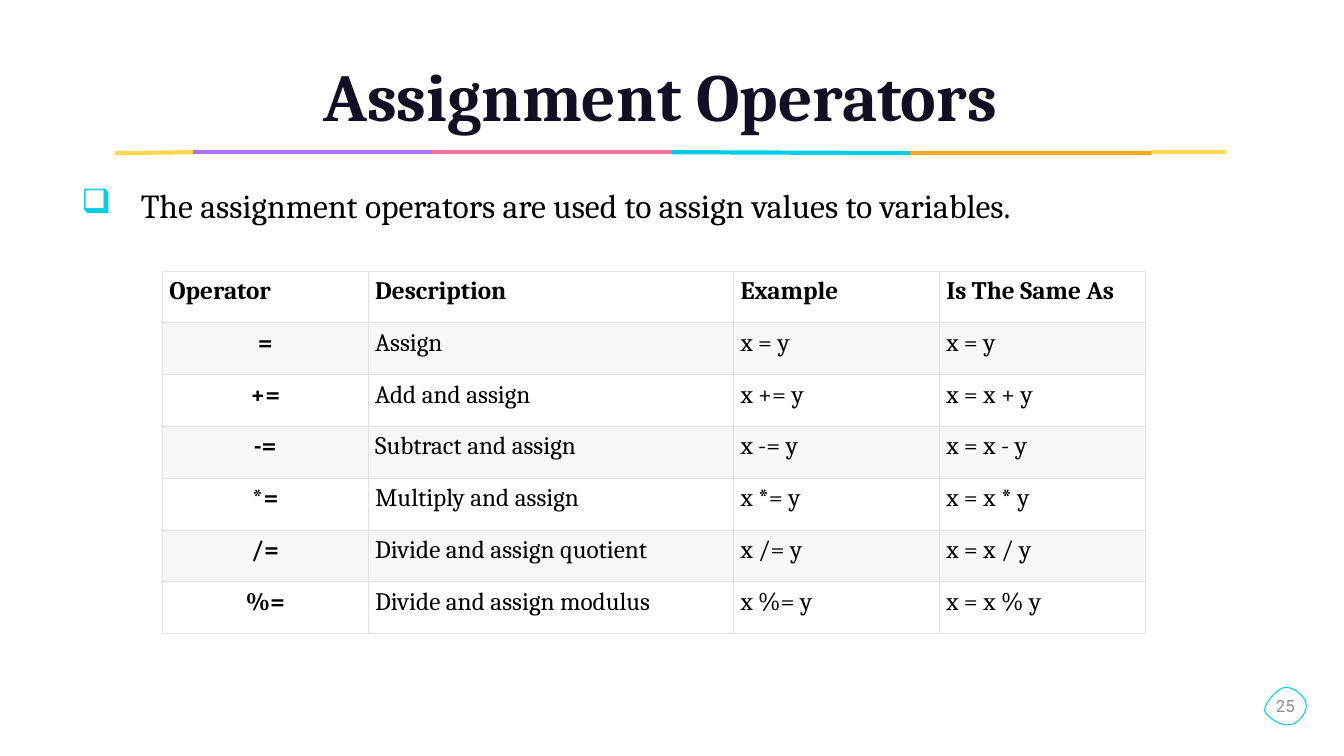
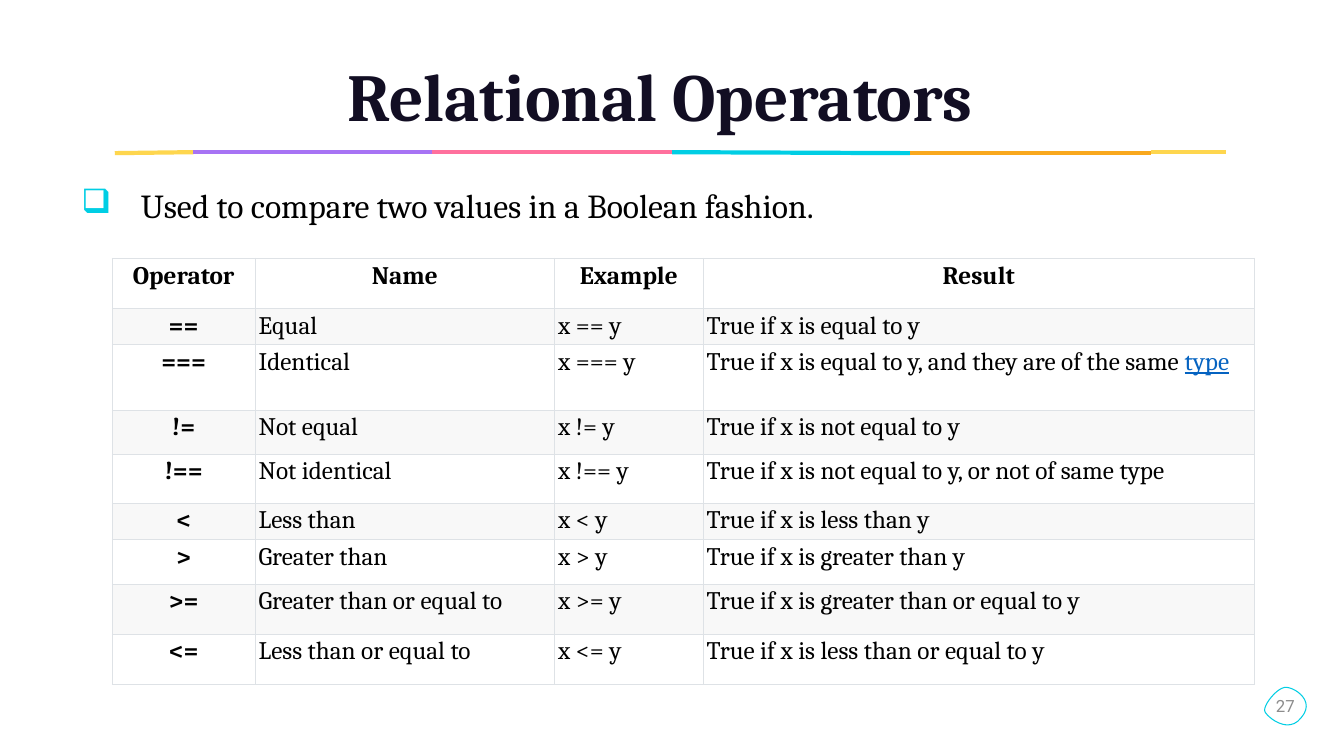
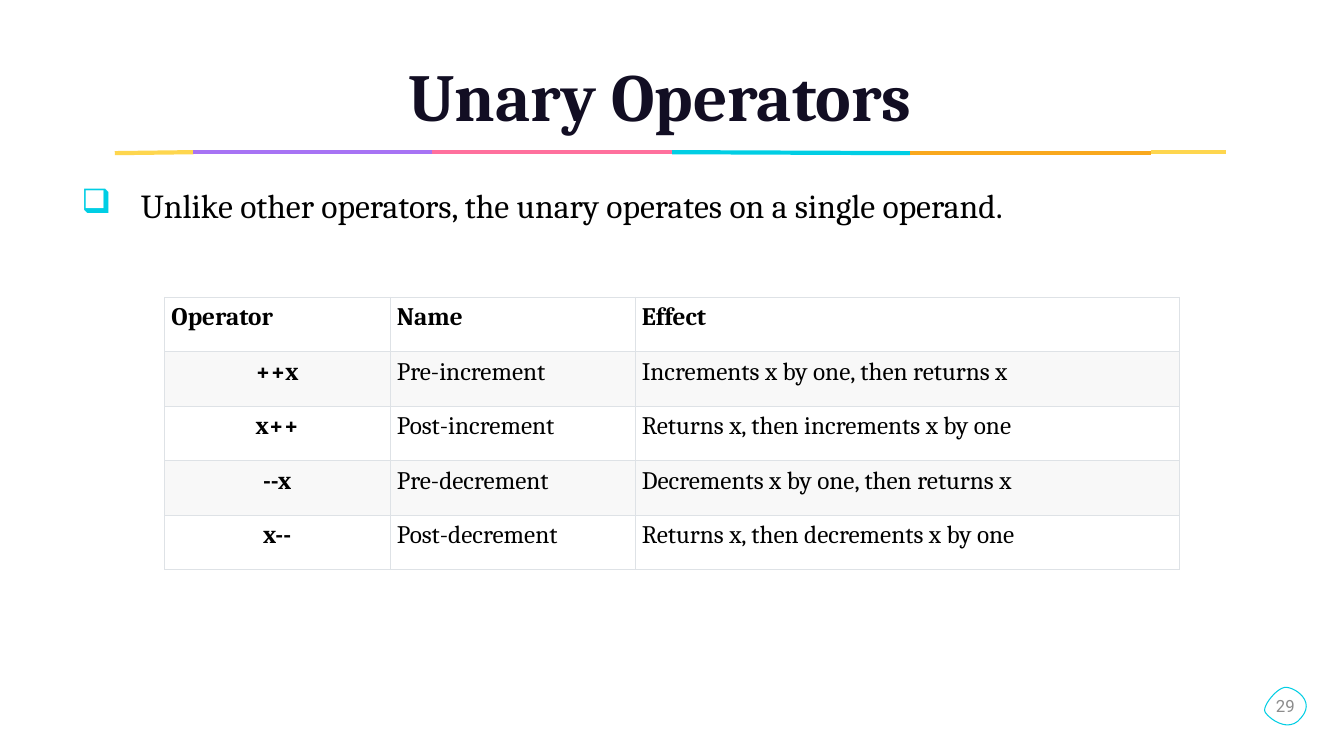
from itertools import pairwise

from lxml.etree import SubElement
from pptx import Presentation
from pptx.dml.color import RGBColor
from pptx.enum.shapes import MSO_CONNECTOR
from pptx.enum.text import MSO_ANCHOR, PP_ALIGN
from pptx.oxml.ns import qn
from pptx.util import Pt

COLORS = {
    "title": "120E23",
    "text": "000000",
    "link": "0563C1",
    "number": "8C8C8C",
    "border": "DEE2E6",
    "plain": "FFFFFF",
    "band": "F8F8F8",
    "yellow": "FED64E",
    "purple": "A773F4",
    "pink": "FF709D",
    "cyan": "00CEE4",
    "orange": "F9A81D",
}
SERIF, SANS = "Cambria", "Roboto"
TITLE_BOX = (51, 36, 852.5, 64)
RULE_BOX = (82, 108.7, 793.6, 0.7)
BODY_BOX = (51, 114.5, 888.5, 338.4)
BADGE_BOX = (903.6, 490.3, 29.5, 27.4)
RULE_STOPS = (0, 56.1, 226.8, 398.1, 568.1, 740.1, 793.6)
RULE_STYLE = (
    ("yellow", 1, 0),
    ("purple", 0, 0),
    ("pink", 0, 0),
    ("cyan", 0, 1),
    ("orange", 1, 1),
    ("yellow", 0, 0),
)
BADGE_START = (15.8, 0.7)
BADGE_CURVES = (
    ((22.3, 1.4), (36, 10.8), (25.9, 22.3)),
    ((16.6, 34.6), (1.4, 21.6), (0, 18)),
    ((-2.2, 14.4), (9.4, -0.7), BADGE_START),
)

SLIDES = (
    {
        "title": "Assignment Operators",
        "body": "The assignment operators are used to assign values to variables.",
        "number": "25",
        "origin": (116, 193.5),
        "columns": (147, 261, 147, 147),
        "heights": (37,) * 7,
        "margins": (5, 4.3),
        "header_align": PP_ALIGN.LEFT,
        "rows": (
            ("Operator", "Description", "Example", "Is The Same As"),
            ("=", "Assign", "x = y", "x = y"),
            ("+=", "Add and assign", "x += y", "x = x + y"),
            ("-=", "Subtract and assign", "x -= y", "x = x - y"),
            ("*=", "Multiply and assign", "x *= y", "x = x * y"),
            ("/=", "Divide and assign quotient", "x /= y", "x = x / y"),
            ("%=", "Divide and assign modulus", "x %= y", "x = x % y"),
        ),
    },
    {
        "title": "Relational Operators",
        "body": "Used to compare two values in a Boolean fashion.",
        "number": "27",
        "origin": (80.2, 184.5),
        "columns": (102, 214, 106, 394),
        "heights": (35.8, 25.5, 46.5, 31.5, 35, 25.2, 32, 35.7, 36.2),
        "margins": (2.6, 2.2),
        "header_align": PP_ALIGN.CENTER,
        "rows": (
            ("Operator", "Name", "Example", "Result"),
            ("==", "Equal", "x == y", "True if x is equal to y"),
            ("===", "Identical", "x === y",
             ("True if x is equal to y, and they are of the same ", "type")),
            ("!=", "Not equal", "x != y", "True if x is not equal to y"),
            ("!==", "Not identical", "x !== y",
             "True if x is not equal to y, or not of same type"),
            ("<", "Less than", "x < y", "True if x is less than y"),
            (">", "Greater than", "x > y", "True if x is greater than y"),
            (">=", "Greater than or equal to", "x >= y",
             "True if x is greater than or equal to y"),
            ("<=", "Less than or equal to", "x <= y",
             "True if x is less than or equal to y"),
        ),
    },
    {
        "title": "Unary Operators",
        "body": "Unlike other operators, the unary operates on a single operand.",
        "number": "29",
        "origin": (117.5, 212.3),
        "columns": (161, 175, 389),
        "heights": (38.9,) * 5,
        "margins": (5, 4.3),
        "header_align": PP_ALIGN.LEFT,
        "rows": (
            ("Operator", "Name", "Effect"),
            ("++x", "Pre-increment", "Increments x by one, then returns x"),
            ("x++", "Post-increment", "Returns x, then increments x by one"),
            ("--x", "Pre-decrement", "Decrements x by one, then returns x"),
            ("x--", "Post-decrement", "Returns x, then decrements x by one"),
        ),
    },
)


def rgb(name):
    """Return the named colour."""
    return RGBColor.from_string(COLORS[name])


def write(paragraph, text, size=18, font=SERIF, color="text", bold=False,
          underline=False, align=PP_ALIGN.LEFT, spacing=None):
    """Add formatted text to a paragraph."""
    paragraph.alignment = align
    if spacing:
        paragraph.line_spacing = spacing
    run = paragraph.add_run()
    run.text = text
    run.font.size = Pt(size)
    run.font.name = font
    run.font.color.rgb = rgb(color)
    run.font.bold = bold
    run.font.underline = underline


def add_text_frame(slide, box, anchor):
    """Add a wrapping text box and return its frame."""
    frame = slide.shapes.add_textbox(*map(Pt, box)).text_frame
    frame.word_wrap = True
    frame.vertical_anchor = anchor
    return frame


def add_rule(slide, box):
    """Draw the coloured rule below the title."""
    left, top, _, drop = box
    for (start, end), (color, start_low, end_low) in zip(pairwise(RULE_STOPS), RULE_STYLE):
        connector = slide.shapes.add_connector(
            MSO_CONNECTOR.STRAIGHT,
            Pt(left + start), Pt(top + drop * start_low),
            Pt(left + end), Pt(top + drop * end_low))
        connector.line.color.rgb = rgb(color)
        connector.line.width = Pt(3)
        SubElement(connector._element.spPr, qn("a:effectLst"))


def add_title(slide, box, text):
    """Write the slide title, set slightly left of centre."""
    frame = add_text_frame(slide, box, MSO_ANCHOR.BOTTOM)
    frame.margin_right = Pt(18.5)
    write(frame.paragraphs[0], text, size=48, color="title", bold=True,
          align=PP_ALIGN.CENTER, spacing=1.7)


def add_body(slide, box, text):
    """Write the bulleted statement."""
    paragraph = add_text_frame(slide, box, MSO_ANCHOR.TOP).paragraphs[0]
    properties = paragraph._p.get_or_add_pPr()
    properties.set("marL", str(Pt(42.5)))
    properties.set("indent", str(-Pt(42.5)))
    bullet_color = SubElement(properties, qn("a:buClr"))
    SubElement(bullet_color, qn("a:srgbClr"), val=COLORS["cyan"])
    SubElement(properties, qn("a:buChar"), char="❑")
    write(paragraph, text, size=24, spacing=1.5)


def curve_points(start, curves, steps=12):
    """Return points along a chain of cubic curves."""
    points = []
    for first, second, end in curves:
        for step in range(1, steps + 1):
            t = step / steps
            weights = ((1 - t) ** 3, 3 * t * (1 - t) ** 2, 3 * t * t * (1 - t), t ** 3)
            points.append(tuple(
                sum(weight * value for weight, value in zip(weights, values))
                for values in zip(start, first, second, end)))
        start = end
    return points


def add_badge(slide, box, number):
    """Draw the pebble outline with the page number."""
    left, top = box[:2]

    def place(point):
        return Pt(left + point[0]), Pt(top + point[1])

    builder = slide.shapes.build_freeform(*place(BADGE_START))
    builder.add_line_segments(
        [place(point) for point in curve_points(BADGE_START, BADGE_CURVES)], close=True)
    shape = builder.convert_to_shape()
    shape.shadow.inherit = False
    shape.fill.background()
    shape.line.color.rgb = rgb("cyan")
    shape.line.width = Pt(0.75)
    frame = shape.text_frame
    frame.margin_left = frame.margin_right = frame.margin_top = frame.margin_bottom = 0
    frame.vertical_anchor = MSO_ANCHOR.MIDDLE
    write(frame.paragraphs[0], number, size=12, font=SANS, color="number",
          align=PP_ALIGN.CENTER)


def style_cell(cell, margins, fill):
    """Set the margins, borders and fill of a cell."""
    cell.margin_left = cell.margin_right = Pt(margins[0])
    cell.margin_top = cell.margin_bottom = Pt(margins[1])
    properties = cell._tc.get_or_add_tcPr()
    for side in ("a:lnL", "a:lnR", "a:lnT", "a:lnB"):
        line = SubElement(properties, qn(side), w=str(Pt(0.5)))
        SubElement(SubElement(line, qn("a:solidFill")), qn("a:srgbClr"), val=COLORS["border"])
    cell.fill.solid()
    cell.fill.fore_color.rgb = rgb(fill)


def add_operator_table(slide, origin, columns, heights, margins, header_align, rows):
    """Build the banded table of operators."""
    box = (*origin, sum(columns), sum(heights))
    table = slide.shapes.add_table(len(rows), len(columns), *map(Pt, box)).table
    table.first_row = table.horz_banding = False
    for column, width in zip(table.columns, columns):
        column.width = Pt(width)
    for row_index, (row, height, texts) in enumerate(zip(table.rows, heights, rows)):
        row.height = Pt(height)
        for column_index, (cell, text) in enumerate(zip(row.cells, texts)):
            style_cell(cell, margins, "band" if row_index % 2 else "plain")
            header, symbol = row_index == 0, column_index == 0
            align = PP_ALIGN.CENTER if symbol else PP_ALIGN.LEFT
            plain, link = (text, "") if isinstance(text, str) else text
            paragraph = cell.text_frame.paragraphs[0]
            write(paragraph, plain, bold=header or symbol,
                  align=header_align if header else align)
            if link:
                write(paragraph, link, color="link", underline=True)


def add_operator_slide(presentation, title, body, number, **table):
    """Add one slide with a title, a statement and a table."""
    slide = presentation.slides.add_slide(presentation.slide_layouts[6])
    add_rule(slide, RULE_BOX)
    add_title(slide, TITLE_BOX, title)
    add_badge(slide, BADGE_BOX, number)
    add_body(slide, BODY_BOX, body)
    add_operator_table(slide, **table)


def main():
    """Build and save the presentation."""
    presentation = Presentation()
    presentation.slide_width, presentation.slide_height = Pt(960), Pt(540)
    for content in SLIDES:
        add_operator_slide(presentation, **content)
    presentation.save("out.pptx")


if __name__ == "__main__":
    main()
